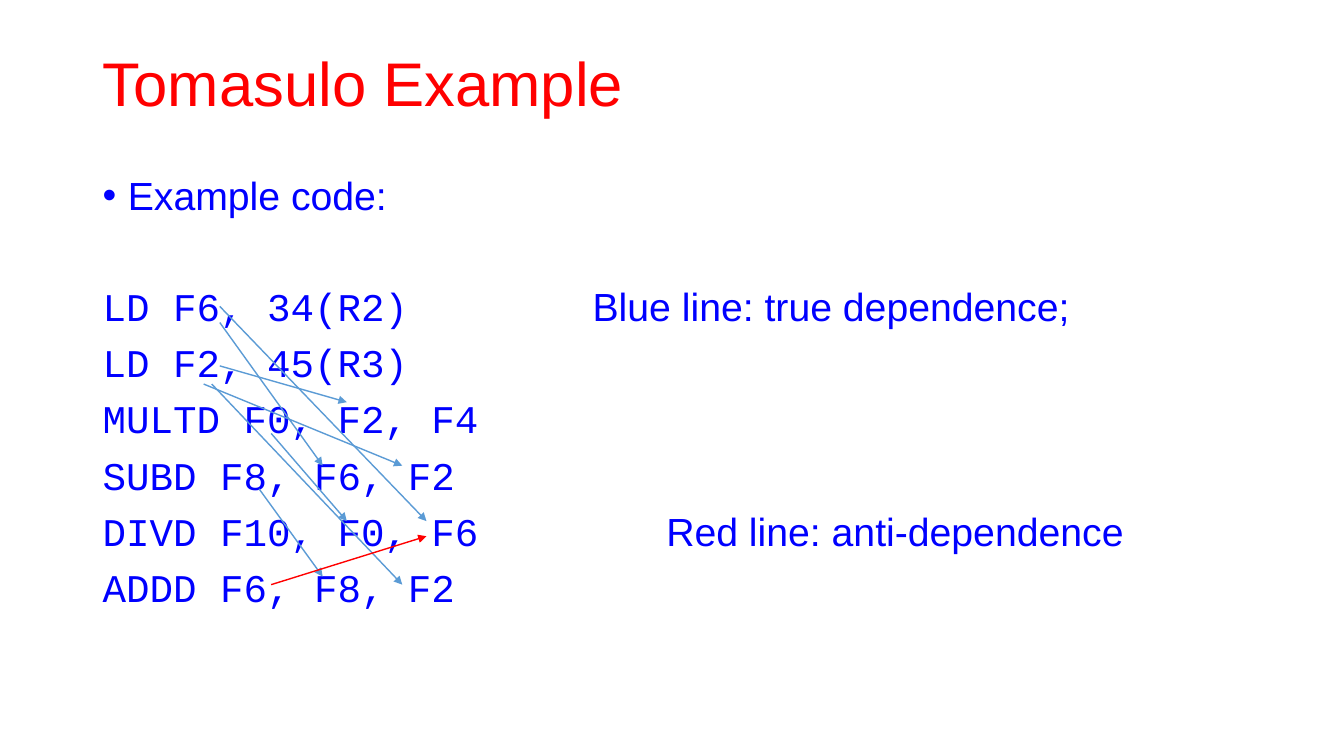
"""Build the Tomasulo example slide with its dependence arrows."""
import lxml.etree
import pptx
import pptx.dml.color
import pptx.enum.shapes
import pptx.enum.text
import pptx.oxml.ns
import pptx.util

Inches = pptx.util.Inches
Pt = pptx.util.Pt
qn = pptx.oxml.ns.qn

COLOURS = {"red": "FF0000", "text": "0000FF", "arrow": "5B9BD5"}
TITLE = {"name": "Arial", "size": Pt(44)}
BODY = {"name": "Arial", "size": Pt(28)}
CODE = {"name": "Courier New", "size": Pt(28)}

CODE_LINES = [
    ("LD F6, 34(R2)", "Blue line: true dependence;", 4.86),
    ("LD F2, 45(R3)", "", 0),
    ("MULTD F0, F2, F4", "", 0),
    ("SUBD F8, F6, F2", "", 0),
    ("DIVD F10, F0, F6", "Red line: anti-dependence", 5.59),
    ("ADDD F6, F8, F2", "", 0),
]
TRUE_DEPENDENCES = [
    ((2.18, 3.63), (3.44, 3.99)),
    ((2.18, 3.2), (3.2, 4.62)),
    ((2.02, 3.81), (3.99, 4.62)),
    ((2.57, 4.85), (3.2, 5.72)),
    ((2.69, 4.3), (3.44, 5.17)),
    ((2.18, 3.04), (4.23, 5.17)),
    ((2.1, 3.81), (3.99, 5.8)),
]
ANTI_DEPENDENCES = [((2.69, 5.8), (4.23, 5.32))]


def rgb(colour):
    """Return the named colour."""
    return pptx.dml.color.RGBColor.from_string(COLOURS[colour])


def add_box(page, left, top, width, height, anchor):
    """Add a wrapping text box and return its text frame."""
    box = page.shapes.add_textbox(Inches(left), Inches(top), Inches(width), Inches(height))
    frame = box.text_frame
    frame.word_wrap = True
    frame.vertical_anchor = anchor
    return frame


def add_span(para, text, style, colour):
    """Add a formatted run to a paragraph."""
    span = para.add_run()
    span.text = text
    for name, value in style.items():
        setattr(span.font, name, value)
    span.font.color.rgb = rgb(colour)


def add_bullet(para):
    """Give a paragraph a hanging bullet."""
    properties = para._p.get_or_add_pPr()
    properties.set("marL", str(Inches(0.25)))
    properties.set("indent", str(-Inches(0.25)))
    font = lxml.etree.SubElement(properties, qn("a:buFont"))
    font.set("typeface", "Arial")
    lxml.etree.SubElement(properties, qn("a:buChar")).set("char", "•")


def add_tab(para, position):
    """Set a left tab stop on a paragraph."""
    stops = lxml.etree.SubElement(para._p.get_or_add_pPr(), qn("a:tabLst"))
    stop = lxml.etree.SubElement(stops, qn("a:tab"))
    stop.set("pos", str(Inches(position)))
    stop.set("algn", "l")


def add_code_line(frame, code, note, position, space):
    """Add a line of code, with a note at a tab stop if there is one."""
    para = frame.add_paragraph()
    if note:
        add_tab(para, position)
    para.line_spacing = 0.9
    para.space_before = Pt(space)
    add_span(para, code, CODE, "text")
    if note:
        add_span(para, "\t" + note, BODY, "text")


def add_arrow(page, start, end, colour):
    """Draw a thin arrow between two points."""
    points = [Inches(value) for value in (*start, *end)]
    arrow = page.shapes.add_connector(pptx.enum.shapes.MSO_CONNECTOR.STRAIGHT, *points)
    arrow.line.color.rgb = rgb(colour)
    arrow.line.width = Pt(1)
    outline = arrow.line._get_or_add_ln()
    lxml.etree.SubElement(outline, qn("a:tailEnd")).set("type", "triangle")
    lxml.etree.SubElement(arrow._element.spPr, qn("a:effectLst"))


def main():
    """Build and save the deck."""
    deck = pptx.Presentation()
    deck.slide_width, deck.slide_height = Inches(13.33), Inches(7.5)
    page = deck.slides.add_slide(deck.slide_layouts[6])
    anchors = pptx.enum.text.MSO_ANCHOR

    heading = add_box(page, 0.92, 0.4, 11.5, 0.91, anchors.MIDDLE).paragraphs[0]
    heading.line_spacing = 0.9
    add_span(heading, "Tomasulo Example", TITLE, "red")

    body = add_box(page, 0.92, 1.7, 11.5, 5.59, anchors.TOP)
    intro = body.paragraphs[0]
    add_bullet(intro)
    intro.line_spacing = 0.9
    add_span(intro, "Example code:", BODY, "text")
    for index, (code, note, position) in enumerate(CODE_LINES):
        add_code_line(body, code, note, position, 10 if index else 49)

    for colour, arrows in (("arrow", TRUE_DEPENDENCES), ("red", ANTI_DEPENDENCES)):
        for start, end in arrows:
            add_arrow(page, start, end, colour)

    deck.save("out.pptx")


if __name__ == "__main__":
    main()
